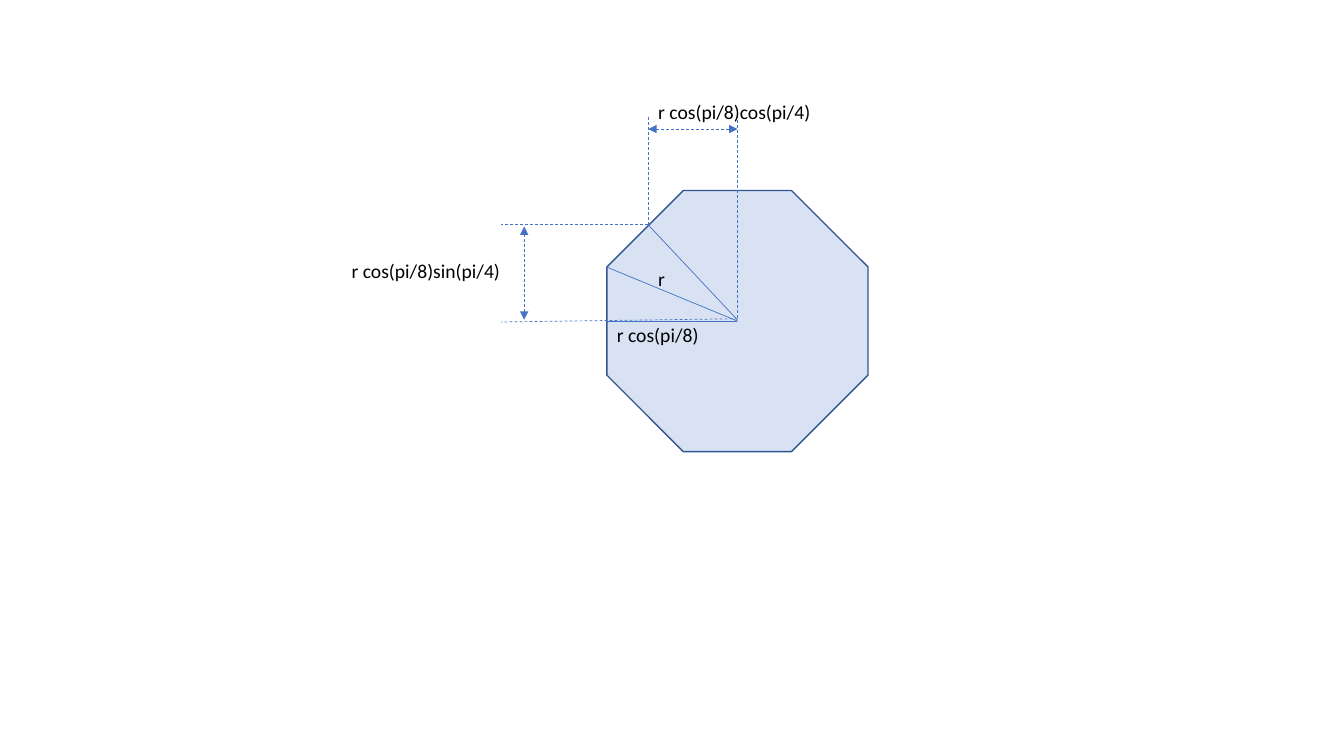
from dataclasses import dataclass

from lxml import etree
from pptx import Presentation
from pptx import util as u
from pptx.dml.color import RGBColor
from pptx.enum import dml, shapes, text
from pptx.oxml import ns


@dataclass(frozen=True)
class Theme:
    blue: RGBColor = RGBColor(0x44, 0x72, 0xC4)
    outline: RGBColor = RGBColor(0x32, 0x54, 0x91)
    ink: RGBColor = RGBColor(0, 0, 0)
    fill_alpha: int = 20
    font: str = "Calibri"
    size: float = 14
    thin: float = 0.5
    edge: float = 1


@dataclass(frozen=True)
class Line:
    start: tuple[float, float]
    end: tuple[float, float]
    dashed: bool = False
    arrows: bool = False


@dataclass(frozen=True)
class Label:
    words: str
    left: float
    top: float
    width: float


THEME = Theme()
LABEL_HEIGHT = 24.5

# Octagon
LEFT, TOP, SIDE = 433.5, 136.1, 186.5
CX, CY = LEFT + SIDE / 2, TOP + SIDE / 2
CENTRE = (CX, CY)
CORNER = (LEFT, 190.8)
MIDPOINT = MX, MY = (463, 160.6)

# Dimension lines
GUIDE_TOP, GUIDE_LEFT = 83.5, 358
WIDTH_Y, HEIGHT_X = 92.2, 374.4

LINES = [
    Line(CENTRE, (LEFT, CY)),
    Line(CENTRE, CORNER),
    Line((CX, 228.5), MIDPOINT),
    Line(MIDPOINT, (MX, GUIDE_TOP), dashed=True),
    Line((CX, 227), (CX, GUIDE_TOP), dashed=True),
    Line((MX, WIDTH_Y), (CX, WIDTH_Y), dashed=True, arrows=True),
    Line(MIDPOINT, (GUIDE_LEFT, MY), dashed=True),
    Line((CX, 227.7), (GUIDE_LEFT, 230), dashed=True),
    Line((HEIGHT_X, 161.8), (HEIGHT_X, 228.4), dashed=True, arrows=True),
]

LABELS = [
    Label("r", MX, 187.2, 22.3),
    Label("r cos(pi/8)", LEFT, 226.8, 93),
    Label("r cos(pi/8)cos(pi/4)", MX, 67.7, 157.7),
    Label("r cos(pi/8)sin(pi/4)", 244, 181.4, 157.7),
]


def draw_octagon(s) -> None:
    sp = s.shapes.add_shape(shapes.MSO_SHAPE.OCTAGON,
                            u.Pt(LEFT), u.Pt(TOP), u.Pt(SIDE), u.Pt(SIDE))
    sp.shadow.inherit = False
    sp.fill.solid()
    sp.fill.fore_color.rgb = THEME.blue
    colour = sp.fill._xPr.find(".//" + ns.qn("a:srgbClr"))
    etree.SubElement(colour, ns.qn("a:alpha"), val=str(THEME.fill_alpha * 1000))
    sp.line.color.rgb = THEME.outline
    sp.line.width = u.Pt(THEME.edge)


def draw_line(s, line: Line) -> None:
    ends = [u.Pt(v) for v in line.start + line.end]
    cxn = s.shapes.add_connector(shapes.MSO_CONNECTOR.STRAIGHT, *ends)
    cxn.line.color.rgb = THEME.blue
    cxn.line.width = u.Pt(THEME.thin)
    if line.dashed:
        cxn.line.dash_style = dml.MSO_LINE.DASH
    if line.arrows:
        ln = cxn.line._get_or_add_ln()
        for tag in ("a:headEnd", "a:tailEnd"):
            etree.SubElement(ln, ns.qn(tag), type="triangle")
    etree.SubElement(cxn._element.spPr, ns.qn("a:effectLst"))


def draw_label(s, label: Label) -> None:
    sp = s.shapes.add_textbox(u.Pt(label.left), u.Pt(label.top),
                              u.Pt(label.width), u.Pt(LABEL_HEIGHT))
    tf = sp.text_frame
    tf.word_wrap = True
    tf.auto_size = text.MSO_AUTO_SIZE.SHAPE_TO_FIT_TEXT
    tf.text = label.words
    font = tf.paragraphs[0].runs[0].font
    font.name = THEME.font
    font.size = u.Pt(THEME.size)
    font.color.rgb = THEME.ink


def main() -> None:
    prs = Presentation()
    prs.slide_width, prs.slide_height = u.Pt(960), u.Pt(540)
    s = prs.slides.add_slide(prs.slide_layouts[6])
    draw_octagon(s)
    for line in LINES:
        draw_line(s, line)
    for label in LABELS:
        draw_label(s, label)
    prs.save("out.pptx")


if __name__ == "__main__":
    main()
